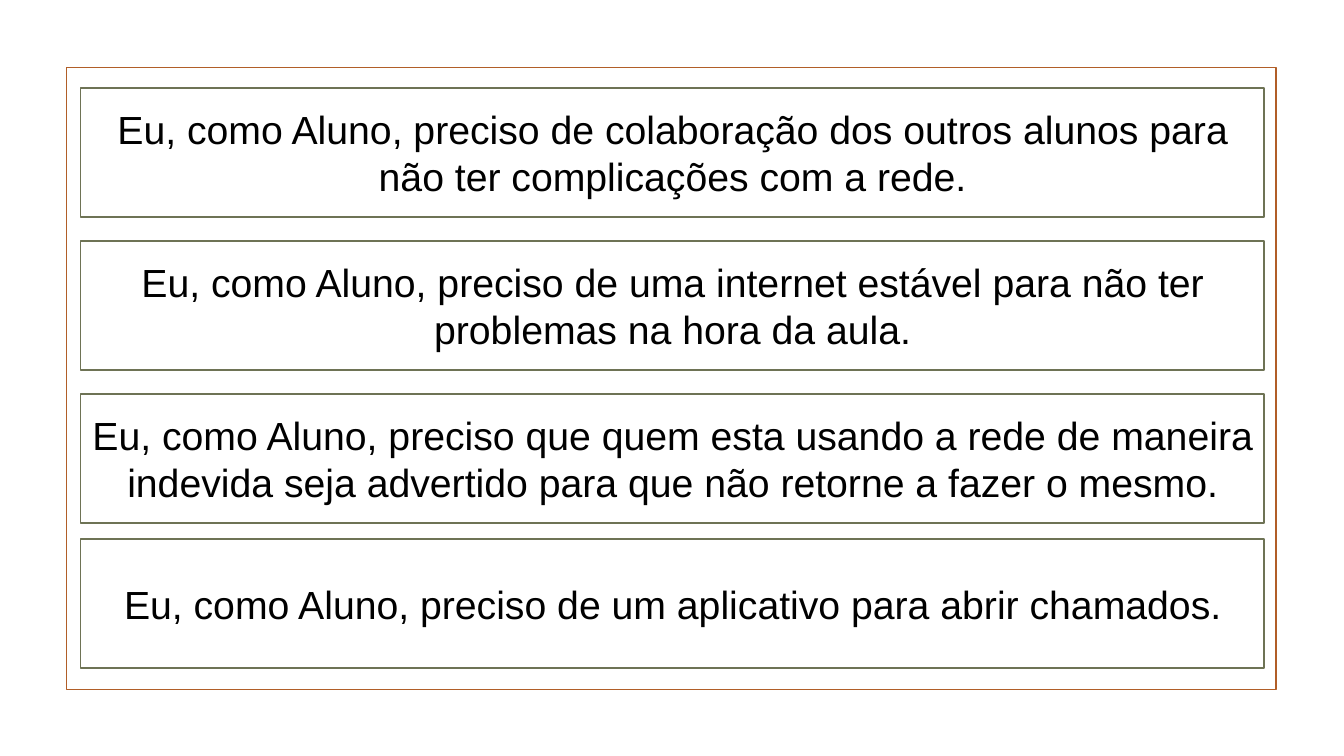
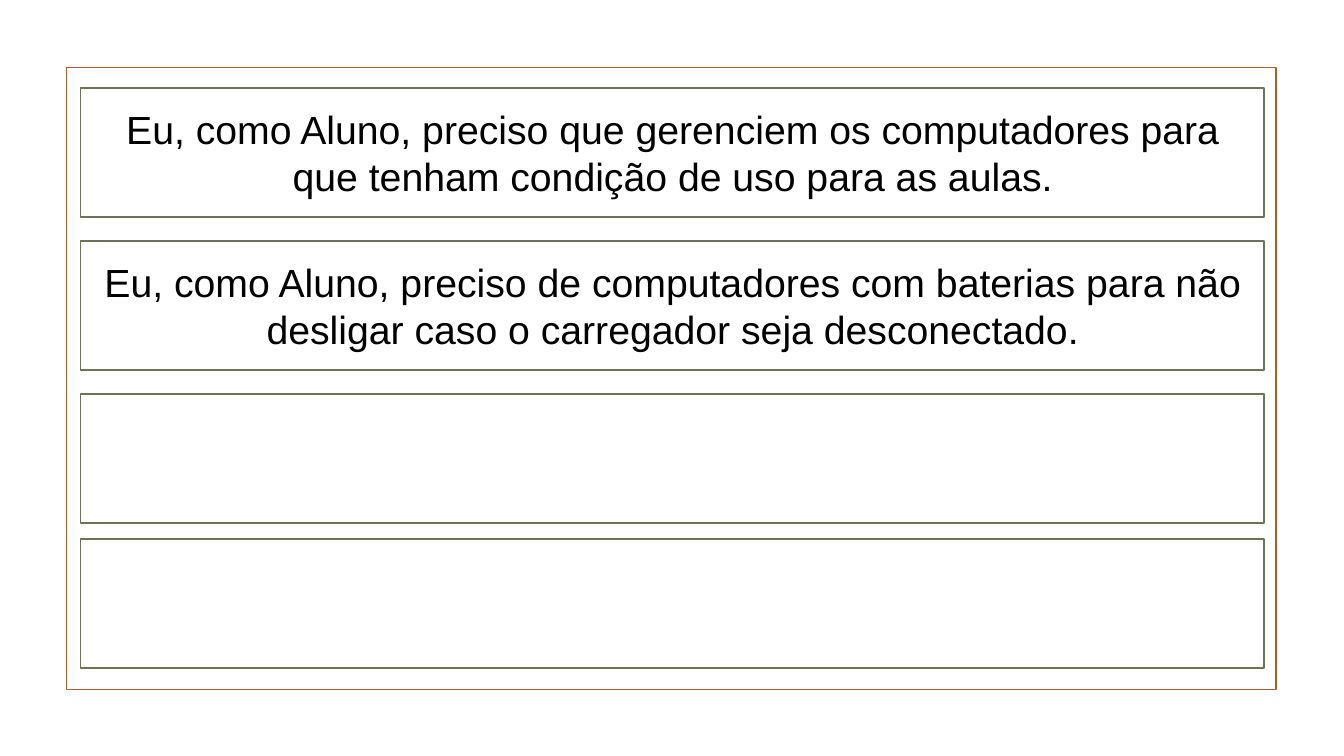
from pptx import Presentation
from pptx.dml.color import RGBColor
from pptx.enum import shapes, text
from pptx.util import Inches, Pt

FRAME, STORY, WHITE, BLACK = "B15E28", "6E7355", "FFFFFF", "000000"
STORY_TOPS = [0.87, 2.39, 3.91, 5.35]

SLIDES = [
    [
        "Eu, como Aluno, preciso de colaboração dos outros alunos para não ter complicações com a rede.",
        "Eu, como Aluno, preciso de uma internet estável para não ter problemas na hora da aula.",
        "Eu, como Aluno, preciso que quem esta usando a rede de maneira indevida seja advertido "
        "para que não retorne a fazer o mesmo.",
        "Eu, como Aluno, preciso de um aplicativo para abrir chamados.",
    ],
    [
        "Eu, como Aluno, preciso que gerenciem os computadores para que tenham condição de uso para as aulas.",
        "Eu, como Aluno, preciso de computadores com baterias para não desligar caso o carregador "
        "seja desconectado.",
        "",
        "",
    ],
]


def rgb(value):
    return RGBColor.from_string(value)


def add_box(s, left, top, width, height, line):
    """Add a white rectangle with a thin coloured outline."""
    sp = s.shapes.add_shape(shapes.MSO_SHAPE.RECTANGLE, Inches(left), Inches(top),
                            Inches(width), Inches(height))
    sp.shadow.inherit = False
    sp.fill.solid()
    sp.fill.fore_color.rgb = rgb(WHITE)
    sp.line.color.rgb = rgb(line)
    sp.line.width = Pt(1.25)
    return sp


prs = Presentation()
prs.slide_width, prs.slide_height = Inches(13.33), Inches(7.5)

for stories in SLIDES:
    s = prs.slides.add_slide(prs.slide_layouts[6])
    add_box(s, 0.66, 0.67, 12, 6.17, FRAME)
    for top, story in zip(STORY_TOPS, stories):
        sp = add_box(s, 0.8, top, 11.74, 1.28, STORY)
        if not story:
            continue
        tf = sp.text_frame
        tf.word_wrap = True
        tf.vertical_anchor = text.MSO_ANCHOR.MIDDLE
        p = tf.paragraphs[0]
        p.alignment = text.PP_ALIGN.CENTER
        r = p.add_run()
        r.text = story
        r.font.name = "Arial"
        r.font.size = Pt(28)
        r.font.color.rgb = rgb(BLACK)

prs.save("out.pptx")
